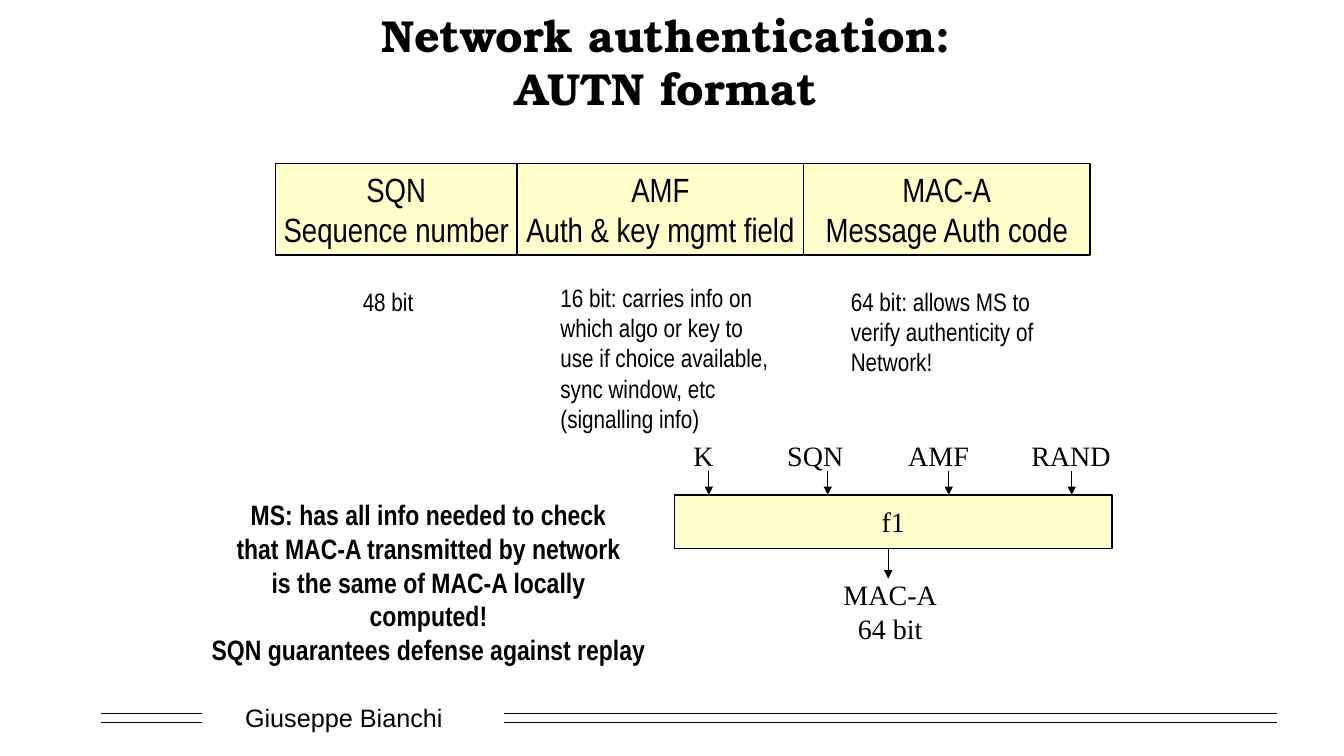
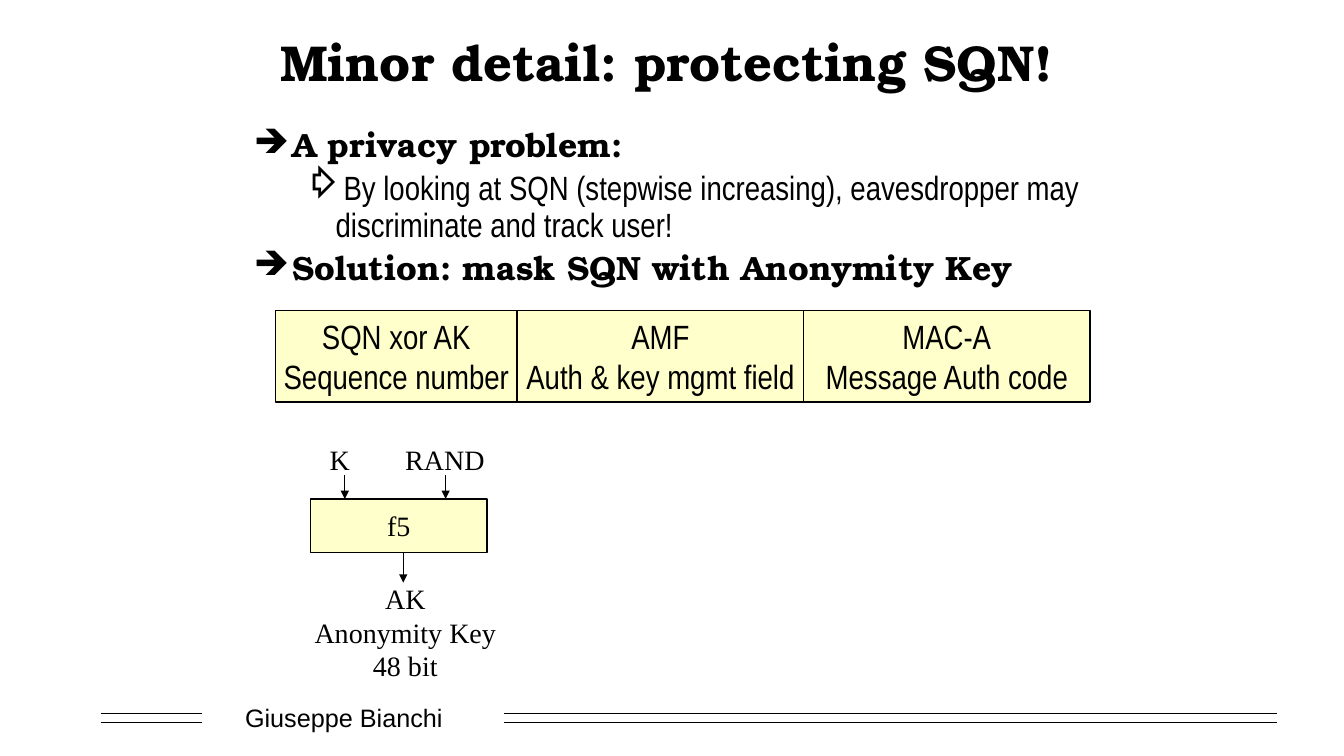
"""Build two slides on the AUTN format and on protecting its sequence number."""
from lxml import etree
from pptx import Presentation
from pptx.dml.color import RGBColor
from pptx.enum.shapes import MSO_CONNECTOR, MSO_SHAPE
from pptx.enum.text import MSO_ANCHOR, PP_ALIGN
from pptx.oxml.ns import qn
from pptx.util import Inches, Pt

LEFT, CENTER = PP_ALIGN.LEFT, PP_ALIGN.CENTER
TOP, MIDDLE = MSO_ANCHOR.TOP, MSO_ANCHOR.MIDDLE
RECTANGLE, STRAIGHT = MSO_SHAPE.RECTANGLE, MSO_CONNECTOR.STRAIGHT

THEME = {
    "ink": RGBColor(0, 0, 0),
    "field": RGBColor(0xFF, 0xFF, 0x99),
    "field_alpha": "50000",
    "line": Pt(1),
    "title": {"name": "TeX Gyre Bonum", "size": Pt(36), "bold": True},
    "long_title": {"name": "TeX Gyre Bonum", "size": Pt(32), "bold": True},
    "heading": {"name": "TeX Gyre Bonum", "size": Pt(24), "bold": True},
    "field_text": {"name": "Arial Narrow", "size": Pt(24), "bold": False},
    "note": {"name": "Arial Narrow", "size": Pt(18), "bold": False},
    "claim": {"name": "Arial Narrow", "size": Pt(20), "bold": True},
    "diagram": {"name": "Times New Roman", "size": Pt(20), "bold": False},
    "footer": {"name": "Arial", "size": Pt(18), "bold": False},
}


def add_text(slide, box, lines, style, align=LEFT, anchor=TOP, wrap=False, filled=False):
    """Add a text box, or a yellow outlined field, with one paragraph per line."""
    lengths = [Inches(value) for value in box]
    if filled:
        shape = slide.shapes.add_shape(RECTANGLE, *lengths)
        shape.shadow.inherit = False
        shape.fill.solid()
        shape.fill.fore_color.rgb = THEME["field"]
        color = shape._element.spPr.find(qn("a:solidFill") + "/" + qn("a:srgbClr"))
        etree.SubElement(color, qn("a:alpha"), val=THEME["field_alpha"])
        shape.line.color.rgb = THEME["ink"]
        shape.line.width = THEME["line"]
    else:
        shape = slide.shapes.add_textbox(*lengths)
    frame = shape.text_frame
    frame.word_wrap = wrap
    frame.vertical_anchor = anchor
    for index, line in enumerate(lines):
        paragraph = frame.add_paragraph() if index else frame.paragraphs[0]
        paragraph.text = line
        paragraph.alignment = align
        for run in paragraph.runs:
            for name, value in THEME[style].items():
                setattr(run.font, name, value)
            run.font.color.rgb = THEME["ink"]
    return frame


def add_line(slide, start, end, arrow=False):
    """Add a thin line, with an arrowhead at its end if asked."""
    points = [Inches(value) for value in (*start, *end)]
    connector = slide.shapes.add_connector(STRAIGHT, *points)
    connector.line.color.rgb = THEME["ink"]
    connector.line.width = THEME["line"]
    properties = connector._element.spPr
    if arrow:
        etree.SubElement(properties.find(qn("a:ln")), qn("a:tailEnd"), type="triangle")
    etree.SubElement(properties, qn("a:effectLst"))


SLIDES = [
    {
        "title": "Network authentication:\nAUTN format",
        "title_style": "long_title",
        "fields_top": 1.62,
        "first_field": "SQN",
        "function": "f1",
        "function_box": (6.69, 4.91, 4.34),
        "inputs": [("K", 6.78, 0.4, 7.03), ("SQN", 7.71, 0.76, 8.21),
                   ("AMF", 8.91, 0.8, 9.41), ("RAND", 10.13, 0.99, 10.63)],
        "output": ["MAC-A", "64 bit"],
        "output_x": 8.81,
    },
    {
        "title": "Minor detail: protecting SQN!",
        "title_style": "title",
        "fields_top": 3.08,
        "first_field": "SQN xor AK",
        "function": "f5",
        "function_box": (3.08, 4.95, 1.75),
        "inputs": [("K", 3.17, 0.4, 3.42), ("RAND", 3.92, 0.99, 4.42)],
        "output": ["AK", "Anonymity Key", "48 bit"],
        "output_x": 4,
    },
]
FIELD_HEIGHT, FUNCTION_HEIGHT = 0.91, 0.53

presentation = Presentation()
presentation.slide_width = Inches(13.33)
presentation.slide_height = Inches(7.5)

for content in SLIDES:
    slide = presentation.slides.add_slide(presentation.slide_layouts[6])
    add_text(slide, (2, 6.92, 2.82, 0.4), ["Giuseppe Bianchi"], "footer", CENTER, MIDDLE)
    for y in (7.08, 7.17):
        for start_x, end_x in ((1, 2), (5, 12.67)):
            add_line(slide, (start_x, y), (end_x, y))
    add_text(slide, (1, 0.25, 11.22, 0.71), [content["title"]], content["title_style"],
             CENTER, MIDDLE, wrap=True)

    field_left = 2.73
    for width, name, meaning in ((2.4, content["first_field"], "Sequence number"),
                                 (2.84, "AMF", "Auth & key mgmt field"),
                                 (2.84, "MAC-A", "Message Auth code")):
        add_text(slide, (field_left, content["fields_top"], width, FIELD_HEIGHT),
                 [name, meaning], "field_text", CENTER, MIDDLE, filled=True)
        field_left += width

    left, top, width = content["function_box"]
    bottom = top + FUNCTION_HEIGHT
    add_text(slide, (left, top, width, FUNCTION_HEIGHT), [content["function"]],
             "diagram", CENTER, MIDDLE, filled=True)
    for label, label_left, label_width, arrow_x in content["inputs"]:
        add_text(slide, (label_left, top - 0.61, label_width, 0.43), [label], "diagram")
        add_line(slide, (arrow_x, top - 0.24), (arrow_x, top), arrow=True)
    output_x = content["output_x"]
    add_line(slide, (output_x, bottom), (output_x, bottom + 0.3), arrow=True)
    output_height = 0.1 + 0.33 * len(content["output"])
    add_text(slide, (output_x - 0.98, bottom + 0.24, 2, output_height),
             content["output"], "diagram", CENTER)

format_slide, privacy_slide = presentation.slides

for box, lines in (
    ((3.5, 2.79, 0.76, 0.4), ["48 bit"]),
    ((5.46, 2.75, 2.29, 1.62),
     ["16 bit: carries info on\nwhich algo or key to\nuse if choice available,",
      "sync window, etc\n(signalling info)"]),
    ((8.34, 2.79, 2.07, 1),
     ["64 bit: allows MS to\nverify authenticity of\nNetwork!"]),
):
    add_text(format_slide, box, lines, "note")
add_text(format_slide, (2, 4.89, 4.5, 1.76),
         ["MS: has all info needed to check\nthat MAC-A transmitted by network\n"
          "is the same of MAC-A locally computed!",
          "SQN guarantees defense against replay"], "claim", CENTER, wrap=True)

body = add_text(privacy_slide, (2.42, 1.23, 8.42, 2.09),
                ["A privacy problem:",
                 "By looking at SQN (stepwise increasing), eavesdropper may "
                 "discriminate and track user!",
                 "Solution: mask SQN with Anonymity Key"], "heading", wrap=True)
LEVELS = [("heading", "➔", 0.38, 0.38), ("field_text", "⇨", 0.81, 0.31),
          ("heading", "➔", 0.38, 0.38)]
for paragraph, (style, bullet, margin, hanging) in zip(body.paragraphs, LEVELS):
    for name, value in {"line_spacing": 0.9, "space_before": Pt(4.8)}.items():
        setattr(paragraph, name, value)
    for name, value in THEME[style].items():
        setattr(paragraph.runs[0].font, name, value)
    properties = paragraph._p.get_or_add_pPr()
    properties.set("marL", str(Inches(margin)))
    properties.set("indent", str(-Inches(hanging)))
    etree.SubElement(properties, qn("a:buChar"), char=bullet)

presentation.save("out.pptx")
